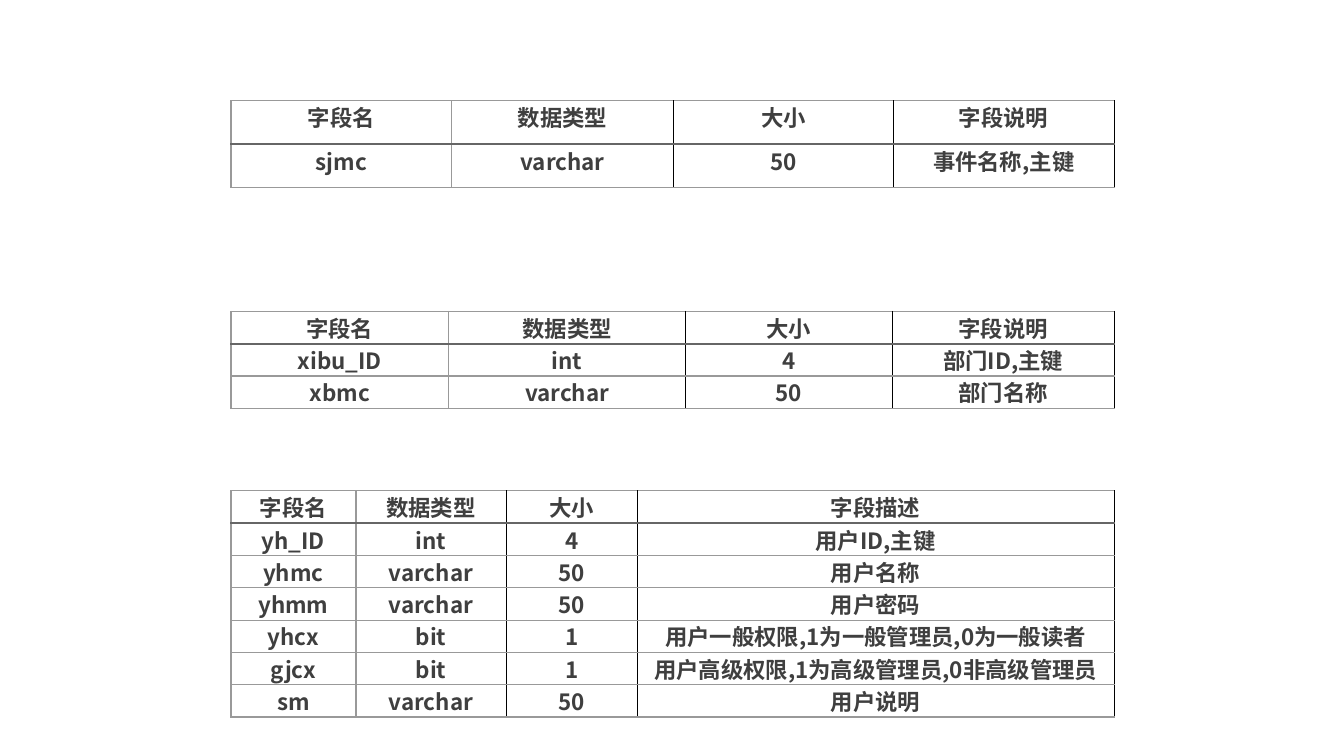
from dataclasses import dataclass

from lxml import etree
from pptx import Presentation
from pptx import util as u
from pptx.dml.color import RGBColor
from pptx.enum import text
from pptx.oxml import ns

COLORS = {"text": "3F3F3F", "grid": "999999", "header_rule": "666666", "divider": "000000"}
FONT = "Noto Sans CJK SC"
LEFT = 2.29


@dataclass(frozen=True)
class Line:
    color: str
    points: float


GRID = Line("grid", 1)
HEADER_RULE = Line("header_rule", 1.5)
DIVIDER = Line("divider", 0.75)


@dataclass(frozen=True)
class FieldTable:
    top: float
    row_height: float
    col_widths: list[float]
    rows: list[list[str]]


TABLES = [
    FieldTable(1, 0.43, [2.19, 2.2, 2.18, 2.19], [
        ["字段名", "数据类型", "大小", "字段说明"],
        ["sjmc", "varchar", "50", "事件名称,主键"],
    ]),
    FieldTable(3.09, 0.3, [2.16, 2.35, 2.05, 2.2], [
        ["字段名", "数据类型", "大小", "字段说明"],
        ["xibu_ID", "int", "4", "部门ID,主键"],
        ["xbmc", "varchar", "50", "部门名称"],
    ]),
    FieldTable(4.87, 0.27, [1.24, 1.49, 1.3, 4.73], [
        ["字段名", "数据类型", "大小", "字段描述"],
        ["yh_ID", "int", "4", "用户ID,主键"],
        ["yhmc", "varchar", "50", "用户名称"],
        ["yhmm", "varchar", "50", "用户密码"],
        ["yhcx", "bit", "1", "用户一般权限,1为一般管理员,0为一般读者"],
        ["gjcx", "bit", "1", "用户高级权限,1为高级管理员,0非高级管理员"],
        ["sm", "varchar", "50", "用户说明"],
    ]),
]


def column_line(index: int) -> Line:
    return GRID if index < 2 else DIVIDER


def row_line(index: int) -> Line:
    return HEADER_RULE if index == 1 else GRID


def add_border(cell, side: str, line: Line) -> None:
    tcPr = cell._tc.get_or_add_tcPr()
    ln = etree.SubElement(tcPr, ns.qn(f"a:ln{side}"), w=str(u.Pt(line.points)))
    fill = etree.SubElement(ln, ns.qn("a:solidFill"))
    etree.SubElement(fill, ns.qn("a:srgbClr"), val=COLORS[line.color])


def write_cell(cell, value: str) -> None:
    cell.margin_left = cell.margin_right = cell.margin_top = cell.margin_bottom = 0
    p = cell.text_frame.paragraphs[0]
    p.text = value
    p.alignment = text.PP_ALIGN.CENTER
    p.font.size = u.Pt(16)
    p.font.bold = True
    p.font.name = FONT
    p.font.color.rgb = RGBColor.from_string(COLORS["text"])
    etree.SubElement(p.font._rPr, ns.qn("a:ea"), typeface=FONT)


def draw_table(slide, spec_table: FieldTable) -> None:
    rows, widths = spec_table.rows, spec_table.col_widths
    table = slide.shapes.add_table(
        len(rows), len(widths), u.Inches(LEFT), u.Inches(spec_table.top),
        u.Inches(sum(widths)), u.Inches(spec_table.row_height * len(rows)),
    ).table
    table.first_row = table.horz_banding = False
    for column, width in zip(table.columns, widths):
        column.width = u.Inches(width)
    for r, values in enumerate(rows):
        table.rows[r].height = u.Inches(spec_table.row_height)
        for c, value in enumerate(values):
            cell = table.cell(r, c)
            write_cell(cell, value)
            add_border(cell, "L", column_line(c))
            add_border(cell, "R", column_line(c + 1))
            add_border(cell, "T", row_line(r))
            add_border(cell, "B", row_line(r + 1))
            cell.fill.background()


def main() -> None:
    prs = Presentation()
    prs.slide_width, prs.slide_height = u.Inches(13.33), u.Inches(7.5)
    slide = prs.slides.add_slide(prs.slide_layouts[6])
    for field_table in TABLES:
        draw_table(slide, field_table)
    prs.save("out.pptx")


if __name__ == "__main__":
    main()
